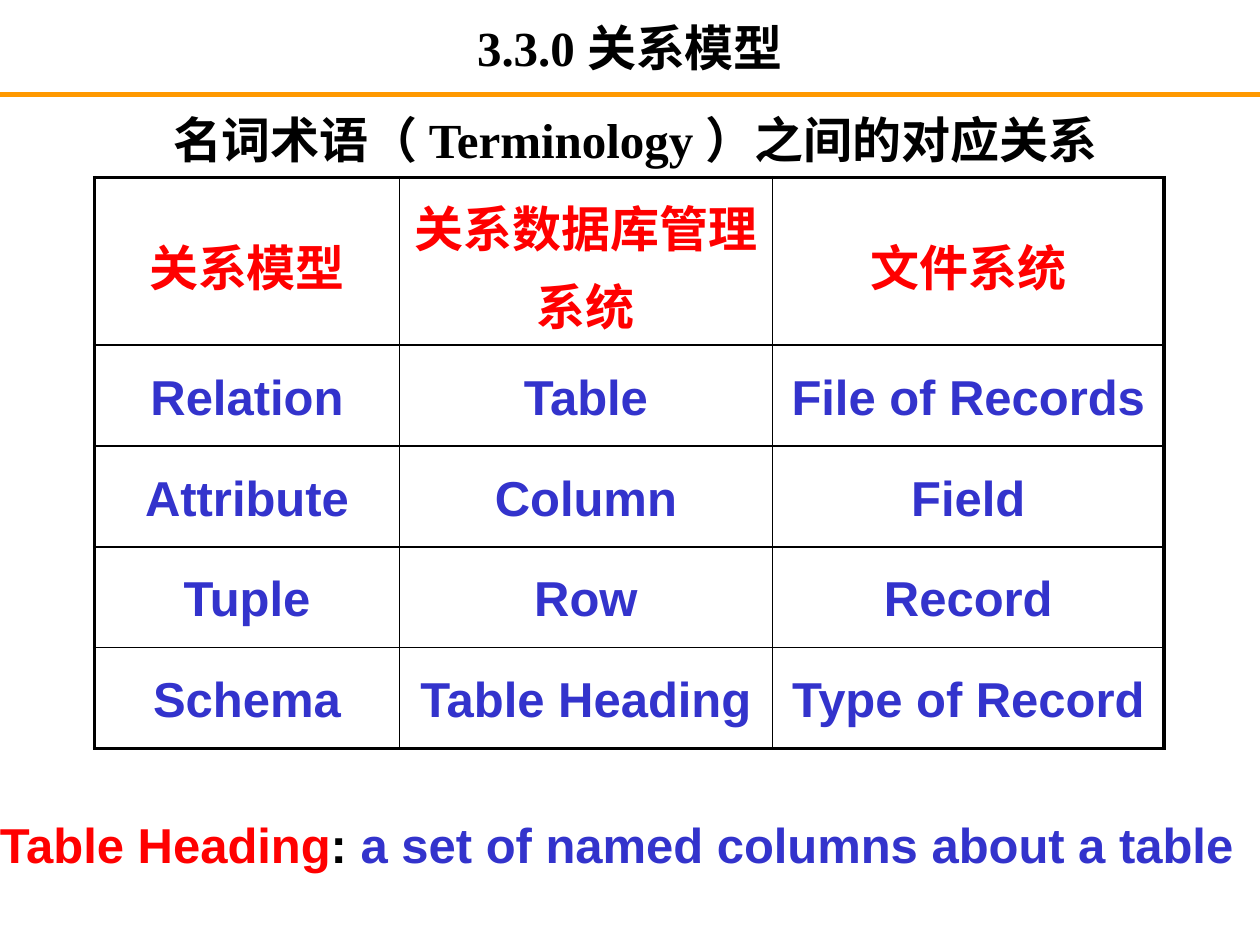
from lxml import etree
from pptx import Presentation
from pptx import util as u
from pptx.dml.color import RGBColor
from pptx.enum import shapes, text
from pptx.oxml.ns import qn

TITLE = "3.3.0 关系模型"
LEAD = "名词术语（ Terminology ）之间的对应关系"
ROWS = [
    ("关系模型", "关系数据库管理系统", "文件系统"),
    ("Relation", "Table", "File of Records"),
    ("Attribute", "Column", "Field"),
    ("Tuple", "Row", "Record"),
    ("Schema", "Table Heading", "Type of Record"),
]
NOTE = [("Table Heading", "red"), (": ", "ink"),
        ("a set of named columns about a table", "blue")]

THEME = {
    "ink": "000000", "red": "FF0000", "blue": "3333CC",
    "rule": "FF9900", "paper": "FFFFFF",
    "serif": "Times New Roman", "sans": "Arial",
    "size": 28, "thick": 2.25, "thin": 1, "bar": 3,
}
COLS, LINES = 100, 75
WIDE = [24.2, 29.6, 31.1]
TALL = [13.3] + [8] * 4

deck = Presentation()
deck.slide_width, deck.slide_height = u.Inches(10), u.Inches(7.5)
slide = deck.slides.add_slide(deck.slide_layouts[6])


def col(n):
    return round(deck.slide_width * n / COLS)


def row(n):
    return round(deck.slide_height * n / LINES)


def tint(name):
    return RGBColor.from_string(THEME[name])


def write(frame, runs, font="sans", mid=True, lead=None, pad=None):
    frame.word_wrap = True
    par = frame.paragraphs[0]
    par.alignment = text.PP_ALIGN.CENTER if mid else text.PP_ALIGN.LEFT
    if lead:
        par.line_spacing = lead
    if pad is not None:
        frame.margin_left = frame.margin_right = pad
    for words, tone in runs:
        run = par.add_run()
        run.text = words
        run.font.name = THEME[font]
        run.font.size = u.Pt(THEME["size"])
        run.font.bold = True
        run.font.color.rgb = tint(tone)


def box(x, y, w, h, runs, **form):
    frame = slide.shapes.add_textbox(col(x), row(y), col(w), row(h)).text_frame
    frame.vertical_anchor = text.MSO_ANCHOR.MIDDLE
    write(frame, runs, **form)


def edge(cell, side, width):
    line = etree.SubElement(cell._tc.get_or_add_tcPr(), qn("a:ln" + side),
                            w=str(u.Pt(width)))
    fill = etree.SubElement(line, qn("a:solidFill"))
    etree.SubElement(fill, qn("a:srgbClr"), val=THEME["ink"])


def grid(x, y):
    table = slide.shapes.add_table(len(ROWS), len(WIDE), col(x), row(y),
                                   col(sum(WIDE)), row(sum(TALL))).table
    table.first_row = table.horz_banding = False
    for c, wide in enumerate(WIDE):
        table.columns[c].width = col(wide)
    for r, tall in enumerate(TALL):
        table.rows[r].height = row(tall)
        for c, words in enumerate(ROWS[r]):
            cell = table.cell(r, c)
            outer = {"L": c == 0, "R": c == len(WIDE) - 1,
                     "T": r == 0, "B": r == len(ROWS) - 1}
            for side, rim in outer.items():
                edge(cell, side, THEME["thick" if rim else "thin"])
            cell.fill.solid()
            cell.fill.fore_color.rgb = tint("paper")
            cell.vertical_anchor = text.MSO_ANCHOR.MIDDLE
            tone, font = ("blue", "sans") if r else ("red", "serif")
            write(cell.text_frame, [(words, tone)], font=font, lead=1.1)


bar = slide.shapes.add_connector(shapes.MSO_CONNECTOR.STRAIGHT,
                                 0, row(7.5), col(COLS), row(7.5))
bar.line.color.rgb = tint("rule")
bar.line.width = u.Pt(THEME["bar"])
etree.SubElement(bar._element.spPr, qn("a:effectLst"))

box(7.5, 0.8, 85, 5.8, [(TITLE, "ink")], font="serif")
grid(7.5, 14.1)
box(7.5, 8.2, 85.8, 5.7, [(LEAD, "ink")], font="serif")
box(0, 64.1, COLS, 5.7, NOTE, mid=False, pad=0)

deck.save("out.pptx")
